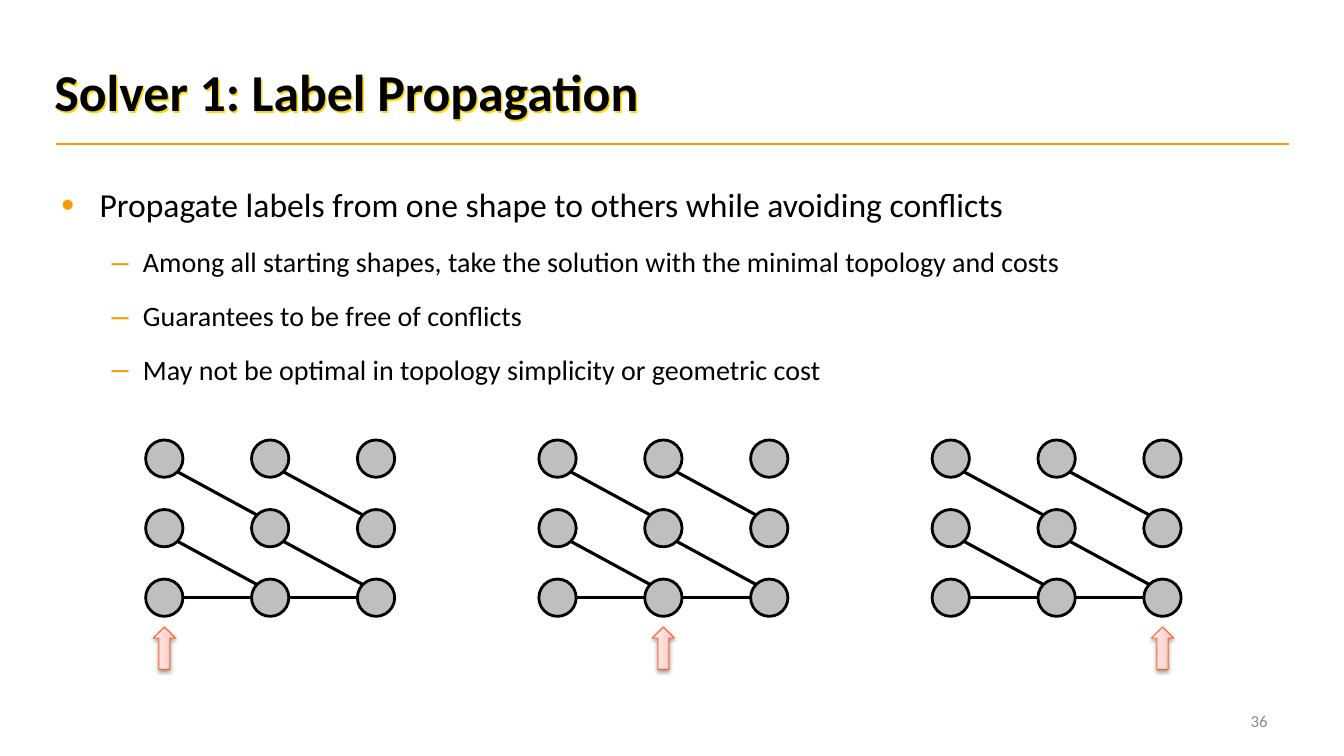
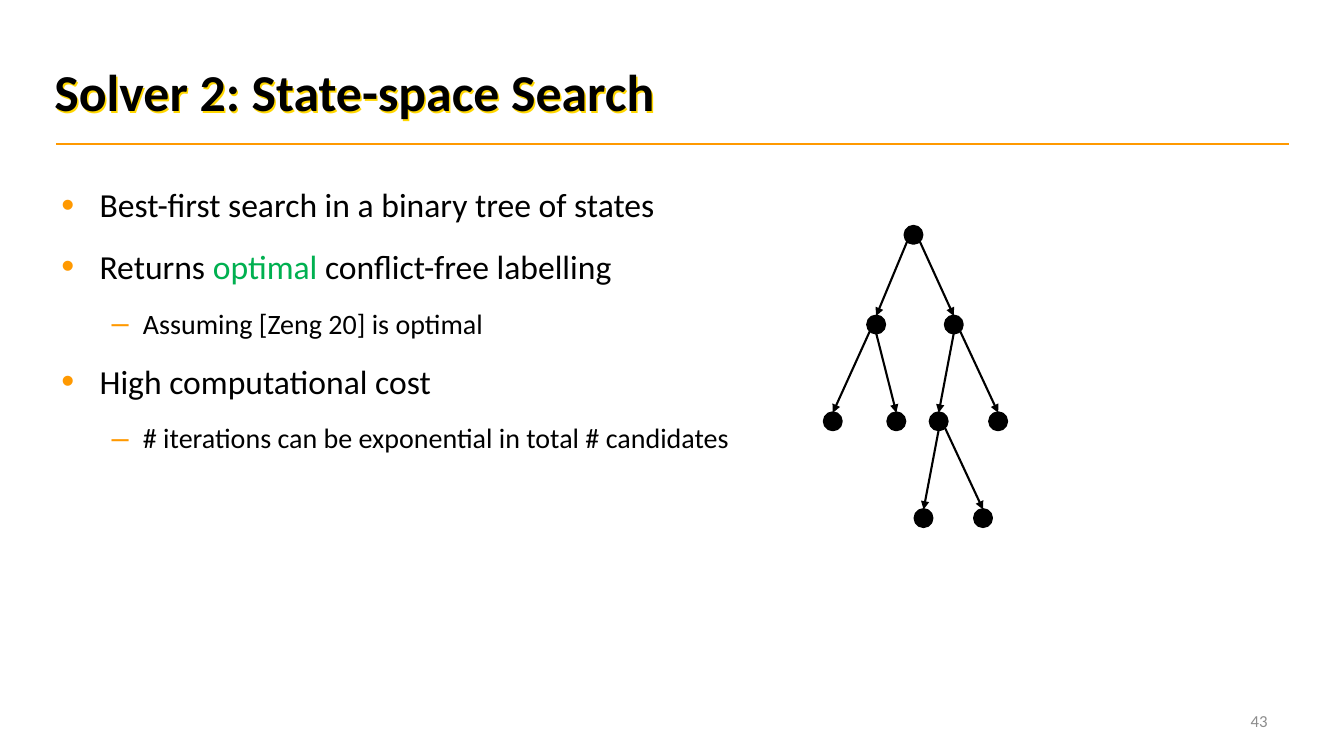
import math

import pptx
import pptx.util
import pptx.dml.color
import pptx.enum.dml
import pptx.enum.shapes
import pptx.enum.text
from lxml import etree
from pptx.oxml.ns import qn

Inches, Pt = pptx.util.Inches, pptx.util.Pt
SHAPES = pptx.enum.shapes.MSO_SHAPE
ALIGN = pptx.enum.text.PP_ALIGN
MIDDLE = pptx.enum.text.MSO_ANCHOR.MIDDLE

# Shared style
FONT = "Calibri"
BLACK, ORANGE, GREEN, GREY = "000000", "FF9900", "00B050", "8C8C8C"
NODE_GREY, ARROW_LINE = "BFBFBF", "FE612D"
ARROW_FADE = ("FFC6BF", "FFF0EE")
TITLE_SHADOW = "FFD700"
# level -> indent, hanging, bullet, size
LEVELS = [(0.38, 0.38, "•", 24), (0.81, 0.31, "–", 20)]

# Content: each bullet is a level and its (text, colour) parts
PROPAGATION = {
    "title": "Solver 1: Label Propagation",
    "number": "36",
    "bullets": [
        (0, [("Propagate labels from one shape to others while avoiding conflicts", BLACK)]),
        (1, [("Among all starting shapes, take the solution with the minimal topology and costs", BLACK)]),
        (1, [("Guarantees to be free of conflicts", BLACK)]),
        (1, [("May not be optimal in topology simplicity or geometric cost", BLACK)]),
    ],
}
SEARCH = {
    "title": "Solver 2: State-space Search",
    "number": "43",
    "bullets": [
        (0, [("Best-first search in a binary tree of states", BLACK)]),
        (0, [("Returns ", BLACK), ("optimal", GREEN), (" conflict-free labelling", BLACK)]),
        (1, [("Assuming [Zeng 20] is optimal", BLACK)]),
        (0, [("High computational cost", BLACK)]),
        (1, [("# iterations can be exponential in total # candidates", BLACK)]),
    ],
}

# Label grid: three panels of 3 x 3 nodes, links join neighbouring columns
PANEL_LEFT, PANEL_PITCH = 1.63, 3.9
COLUMN_PITCH, ROW_TOP, ROW_PITCH = 1.05, 4.55, 0.69
NODE_SIZE = 0.37
ROW_LINKS = [(0, 1), (1, 2), (2, 2)]
START_Y = 6.43

# State tree: centres by level, and links from parent to child
STATE_SIZE = 0.17
STATES = {
    "root": (9.06, 2.33),
    "L": (8.69, 3.22), "R": (9.46, 3.22),
    "LL": (8.26, 4.18), "LR": (8.89, 4.18), "RL": (9.31, 4.18), "RR": (9.9, 4.18),
    "RLL": (9.16, 5.14), "RLR": (9.75, 5.14),
}
BRANCHES = [("root", "L"), ("root", "R"), ("L", "LL"), ("L", "LR"),
            ("R", "RL"), ("R", "RR"), ("RL", "RLL"), ("RL", "RLR")]


def rgb(value):
    return pptx.dml.color.RGBColor.from_string(value)


def style_run(run, size, colour, bold=False):
    run.font.name, run.font.size, run.font.bold = FONT, Pt(size), bold
    run.font.color.rgb = rgb(colour)


def add_shadow(shape, colour, opacity, blur, distance, angle):
    shape.shadow.inherit = False
    effects = shape._element.spPr.find(qn("a:effectLst"))
    shadow = etree.SubElement(effects, qn("a:outerShdw"), blurRad=str(Pt(blur)),
                              dist=str(Pt(distance)), dir=str(angle * 60000),
                              algn="tl", rotWithShape="0")
    tint = etree.SubElement(shadow, qn("a:srgbClr"), val=colour)
    etree.SubElement(tint, qn("a:alpha"), val=str(opacity * 1000))


def add_line(shapes, start, end, colour, width, arrow=False):
    line = shapes.add_connector(pptx.enum.shapes.MSO_CONNECTOR.STRAIGHT,
                                *(Inches(v) for v in (*start, *end)))
    line.line.color.rgb, line.line.width = rgb(colour), Pt(width)
    properties = line._element.spPr
    if arrow:
        etree.SubElement(properties.find(qn("a:ln")), qn("a:tailEnd"), type="triangle")
    etree.SubElement(properties, qn("a:effectLst"))


def add_centred(shapes, kind, centre, width, height):
    return shapes.add_shape(kind, Inches(centre[0] - width / 2), Inches(centre[1] - height / 2),
                            Inches(width), Inches(height))


def add_node(shapes, centre, size, fill):
    node = add_centred(shapes, SHAPES.OVAL, centre, size, size)
    node.shadow.inherit = False
    node.fill.solid()
    node.fill.fore_color.rgb = rgb(fill)
    node.line.color.rgb, node.line.width = rgb(BLACK), Pt(2)


def rim(centre, size, angle):
    """Point on a node's outline; angles run clockwise from the right."""
    turn = math.radians(angle)
    return (centre[0] + size / 2 * math.cos(turn), centre[1] + size / 2 * math.sin(turn))


def add_bullets(slide, bullets):
    body = slide.shapes.add_textbox(Inches(0.51), Inches(1.74), Inches(12.27), Inches(5.08))
    frame = body.text_frame
    frame.word_wrap = True
    for index, (level, parts) in enumerate(bullets):
        paragraph = frame.add_paragraph() if index else frame.paragraphs[0]
        indent, hanging, bullet, size = LEVELS[level]
        paragraph.level = level
        properties = paragraph._p.get_or_add_pPr()
        properties.set("marL", str(Inches(indent)))
        properties.set("indent", str(-Inches(hanging)))
        etree.SubElement(etree.SubElement(properties, qn("a:buClr")), qn("a:srgbClr"), val=ORANGE)
        etree.SubElement(properties, qn("a:buSzPct"), val="110000")
        etree.SubElement(properties, qn("a:buFont"), typeface="Arial")
        etree.SubElement(properties, qn("a:buChar"), char=bullet)
        paragraph.line_spacing = 1.1
        paragraph.space_before = Pt(6 if index else 0)
        paragraph.space_after = Pt(6)
        for text, colour in parts:
            run = paragraph.add_run()
            run.text = text
            style_run(run, size, colour)


def add_content_slide(deck, content):
    slide = deck.slides.add_slide(deck.slide_layouts[5])
    add_line(slide.shapes, (0.56, 1.43), (12.78, 1.43), ORANGE, 1)

    # Title
    title = slide.shapes.title
    title.left, title.top = Inches(0.44), Inches(0.24)
    title.width, title.height = Inches(9.78), Inches(1.33)
    title.fill.background()
    add_shadow(title, TITLE_SHADOW, 100, 0, 1.5, 45)
    title.text_frame.text = content["title"]
    title.text_frame.auto_size = pptx.enum.text.MSO_AUTO_SIZE.NONE
    title.text_frame.vertical_anchor = MIDDLE
    heading = title.text_frame.paragraphs[0]
    heading.alignment = ALIGN.LEFT
    style_run(heading.runs[0], 37, BLACK, bold=True)

    add_bullets(slide, content["bullets"])

    # Slide number
    number = slide.shapes.add_textbox(Inches(9.56), Inches(6.95), Inches(3.11), Inches(0.4))
    number.text_frame.word_wrap = True
    number.text_frame.vertical_anchor = MIDDLE
    number.text_frame.text = content["number"]
    footer = number.text_frame.paragraphs[0]
    footer.alignment = ALIGN.RIGHT
    style_run(footer.runs[0], 12, GREY)
    return slide


def add_label_panel(slide, panel):
    """One grid of nodes, with an arrow under the starting column."""
    columns = [PANEL_LEFT + panel * PANEL_PITCH + c * COLUMN_PITCH for c in range(3)]
    rows = [ROW_TOP + r * ROW_PITCH for r in range(3)]
    grid = slide.shapes.add_group_shape().shapes
    for x in columns:
        for y in rows:
            add_node(grid, (x, y), NODE_SIZE, NODE_GREY)
    for left, right in zip(columns, columns[1:]):
        for upper, lower in ROW_LINKS:
            angle = 0 if upper == lower else 45
            add_line(grid, rim((left, rows[upper]), NODE_SIZE, angle),
                     rim((right, rows[lower]), NODE_SIZE, angle + 180), BLACK, 2.25)

    start = add_centred(slide.shapes, SHAPES.UP_ARROW, (columns[panel], START_Y), 0.22, 0.42)
    start.fill.gradient()
    start.fill.gradient_angle = 180
    for stop, colour, position in zip(start.fill.gradient_stops, ARROW_FADE, (0, 1)):
        stop.color.rgb, stop.position = rgb(colour), position
    start.line.color.rgb, start.line.width = rgb(ARROW_LINE), Pt(0.75)
    add_shadow(start, BLACK, 38, 3.1, 1.6, 90)


def add_state_tree(slide):
    for centre in STATES.values():
        add_node(slide.shapes, centre, STATE_SIZE, BLACK)
    for parent, child in BRANCHES:
        origin, target = STATES[parent], STATES[child]
        shift = target[0] - origin[0]
        # Steep branches leave from the bottom, wide ones from the lower corners
        angle = 90 if abs(shift) < 0.3 else 135 if shift < 0 else 45
        add_line(slide.shapes, rim(origin, STATE_SIZE, angle), rim(target, STATE_SIZE, 270),
                 BLACK, 1.5, arrow=True)


def main():
    deck = pptx.Presentation()
    deck.slide_width, deck.slide_height = Inches(13.33), Inches(7.5)
    propagation = add_content_slide(deck, PROPAGATION)
    for panel in range(3):
        add_label_panel(propagation, panel)
    add_state_tree(add_content_slide(deck, SEARCH))
    deck.save("out.pptx")


if __name__ == "__main__":
    main()
